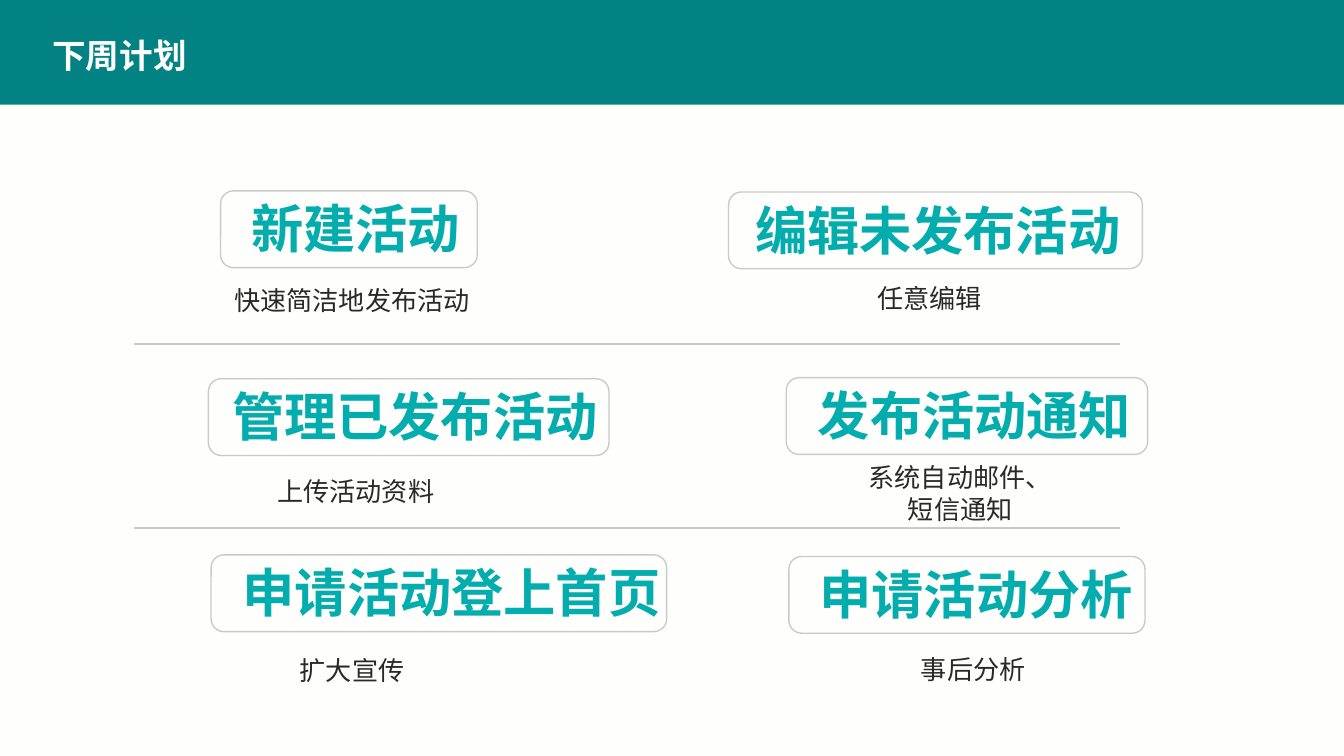
from dataclasses import dataclass

from lxml import etree
from pptx import Presentation
from pptx import util as u
from pptx.dml.color import RGBColor
from pptx.enum import shapes, text
from pptx.oxml.ns import qn


@dataclass(frozen=True)
class Theme:
    font: str = "Noto Sans CJK SC"
    paper: str = "FEFEFC"
    band: str = "028282"
    accent: str = "03ADAD"
    ink: str = "292929"
    rule: str = "CACACA"
    title_size: int = 18
    heading_size: int = 28
    caption_size: int = 14
    leading: float = 1.21


theme = Theme()


def place(shape, left, top, width, height):
    """Set the position and size of a shape in centimetres."""
    frame = {"left": left, "top": top, "width": width, "height": height}
    for name, value in frame.items():
        setattr(shape, name, u.Cm(value))


def write(box, words, size, color, bold=False, align=text.PP_ALIGN.LEFT, wrap=False):
    """Put one formatted paragraph into a box."""
    frame_format = {
        "word_wrap": wrap,
        "auto_size": text.MSO_AUTO_SIZE.NONE,
        "vertical_anchor": text.MSO_ANCHOR.MIDDLE,
        "margin_left": u.Cm(0.25),
        "margin_right": u.Cm(0.25),
        "margin_top": 0,
        "margin_bottom": 0,
    }
    for name, value in frame_format.items():
        setattr(box.text_frame, name, value)
    para = box.text_frame.paragraphs[0]
    para.alignment = align
    para.line_spacing = u.Pt(round(size * theme.leading))
    span = para.add_run()
    span.text = words
    for name, value in {"name": theme.font, "size": u.Pt(size), "bold": bold}.items():
        setattr(span.font, name, value)
    span.font.color.rgb = RGBColor.from_string(color)
    east_asian = etree.SubElement(span.font._element, qn("a:ea"))
    east_asian.set("typeface", theme.font)


deck = Presentation()
deck.slide_width, deck.slide_height = u.Cm(25.4), u.Cm(14.29)
page = deck.slides.add_slide(deck.slide_layouts[5])
page.background.fill.solid()
page.background.fill.fore_color.rgb = RGBColor.from_string(theme.paper)

# Title on its band
title = page.shapes.title
place(title, 0.74, 0.53, 3.1, 1.02)
write(title, "下周计划", theme.title_size, theme.paper, bold=True)
band = page.shapes.add_shape(shapes.MSO_SHAPE.RECTANGLE, 0, 0, deck.slide_width, u.Cm(1.98))
band.shadow.inherit = False
band.fill.solid()
band.fill.fore_color.rgb = RGBColor.from_string(theme.band)
band.line.fill.background()
title._element.addprevious(band._element)

# Heading, its left edge, frame (left, top, width), caption, caption box
plans = [
    ("新建活动", 4.5, (4.17, 3.61, 4.85), "快速简洁地发布活动", (3.66, 5.23, 5.99, 0.86)),
    ("编辑未发布活动", 14.02, (13.77, 3.63, 7.82), "任意编辑", (15.54, 5.21, 4.06, 0.86)),
    ("管理已发布活动", 4.14, (3.94, 7.16, 7.57), "上传活动资料", (3.73, 8.84, 5.99, 0.86)),
    ("发布活动通知", 15.21, (14.86, 7.14, 6.83), "系统自动邮件、短信通知", (15.98, 8.59, 4.34, 1.45)),
    ("申请活动登上首页", 4.34, (3.99, 10.49, 8.61), "扩大宣传", (3.66, 12.24, 5.99, 0.86)),
    ("申请活动分析", 15.24, (14.91, 10.52, 6.73), "事后分析", (16.21, 12.22, 4.37, 0.86)),
]
frame_height = 1.45
for heading, heading_left, (left, top, width), caption, caption_area in plans:
    heading_box = page.shapes.add_textbox(0, 0, 0, 0)
    place(heading_box, heading_left, top - 0.03, 0.99 * len(heading) + 0.5, frame_height)
    write(heading_box, heading, theme.heading_size, theme.accent, bold=True)

    frame = page.shapes.add_shape(shapes.MSO_SHAPE.ROUNDED_RECTANGLE, 0, 0, 0, 0)
    place(frame, left, top, width, frame_height)
    frame.shadow.inherit = False
    frame.fill.background()
    frame.line.color.rgb = RGBColor.from_string(theme.rule)
    frame.line.width = u.Pt(0.75)

    caption_box = page.shapes.add_textbox(0, 0, 0, 0)
    place(caption_box, *caption_area)
    write(caption_box, caption, theme.caption_size, theme.ink,
          align=text.PP_ALIGN.CENTER, wrap=True)

# Rules between the rows
for height in (6.5, 9.98):
    divider = page.shapes.add_connector(
        shapes.MSO_CONNECTOR.STRAIGHT, u.Cm(2.54), u.Cm(height), u.Cm(21.16), u.Cm(height))
    divider.line.color.rgb = RGBColor.from_string(theme.rule)
    divider.line.width = u.Pt(1)
    etree.SubElement(divider._element.spPr, qn("a:effectLst"))

deck.save("out.pptx")
